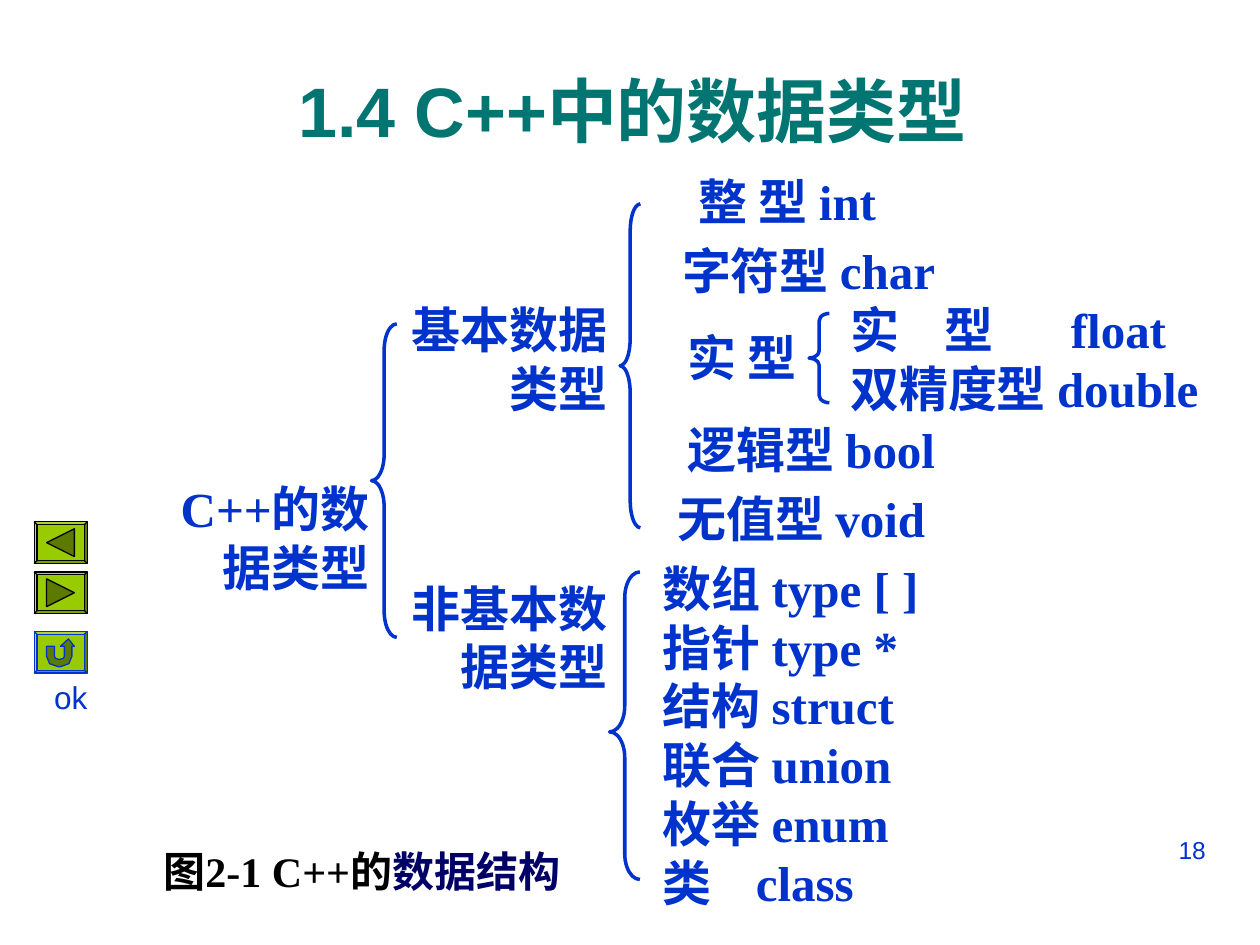
from lxml.etree import SubElement
from pptx import Presentation
from pptx.dml.color import RGBColor
from pptx.enum.shapes import MSO_SHAPE
from pptx.enum.text import MSO_ANCHOR, PP_ALIGN
from pptx.oxml.ns import qn
from pptx.util import Cm, Pt

BLUE = "0033CC"
GREEN = "99CC00"
ICON_GREEN = "5C7A00"
SERIF = "Times New Roman"
SANS = "Arial"
LEFT, CENTER, RIGHT = PP_ALIGN.LEFT, PP_ALIGN.CENTER, PP_ALIGN.RIGHT

LABELS = [
    ((2.9, 9.53, 4.8, 2.57), "C++的数据类型"),
    ((7.9, 5.92, 4.6, 2.64), "基本数据类型"),
    ((7.7, 11.53, 4.8, 2.59), "非基本数据类型"),
    ((13.11, 3.33, 4.8, 1.19), "整 型 int"),
    ((13.11, 4.72, 5.99, 1.17), "字符型 char"),
    ((13.11, 6.48, 3.2, 1.37), "实 型"),
    ((13.11, 8.33, 5.99, 1.4), "逻辑型 bool"),
    ((13.11, 9.73, 5.79, 1.6), "无值型 void"),
]
REAL_TYPES = ["实\t型\tfloat", "双精度型 double"]
DERIVED_TYPES = ["数组 type [ ]", "指针 type *", "结构 struct",
                 "联合 union", "枚举 enum", "类\tclass"]
BRACES = [
    ((12.29, 11.53, 0.61, 6.2), 0.85, 0.52),
    ((12.5, 4.11, 0.41, 6.53), 1.34, 0.5),
    ((7.49, 6.53, 0.51, 6.32), 1.04, 0.5),
    ((16.31, 6.32, 0.41, 1.8), 0.36, 0.5),
]
BACK = [(0.25, 0.42), (0.81, 0.14), (0.81, 0.7)]
FORWARD = [(0.25, 0.14), (0.81, 0.42), (0.25, 0.7)]
RETURN = [(0.25, 0.3), (0.41, 0.3), (0.41, 0.5), (0.43, 0.54), (0.48, 0.56),
          (0.53, 0.56), (0.59, 0.54), (0.61, 0.5), (0.61, 0.3), (0.53, 0.3),
          (0.69, 0.15), (0.81, 0.3), (0.76, 0.3), (0.76, 0.5), (0.7, 0.65),
          (0.53, 0.71), (0.48, 0.71), (0.31, 0.65), (0.25, 0.5)]
BUTTONS = [(10.52, BACK, "000000"), (11.53, FORWARD, "000000"),
           (12.73, RETURN, BLUE)]


def rgb(color):
    return RGBColor.from_string(color)


def format_run(r, size, font, color, bold):
    r.font.size = Pt(size)
    r.font.name = font
    r.font.bold = bold
    r.font.color.rgb = rgb(color)


def add_tabs(p, stops):
    tabs = SubElement(p._p.get_or_add_pPr(), qn("a:tabLst"))
    for stop in stops:
        SubElement(tabs, qn("a:tab"), pos=str(Cm(stop)), algn="l")


def add_text(s, box, lines, size=28, font=SERIF, color=BLUE, bold=True,
             align=LEFT, stops=()):
    tf = s.shapes.add_textbox(*map(Cm, box)).text_frame
    tf.word_wrap = True
    tf.text = "\n".join(lines)
    for p in tf.paragraphs:
        p.alignment = align
        if stops:
            add_tabs(p, stops)
        for r in p.runs:
            format_run(r, size, font, color, bold)
    return tf


def add_caption(s):
    tf = add_text(s, (2.29, 16.92, 10.01, 1.27), ["图2-1 C++的"],
                  size=24, color="000000", align=CENTER)
    r = tf.paragraphs[0].add_run()
    r.text = "数据结构"
    format_run(r, 24, SERIF, "000066", True)


def add_brace(s, box, curve, middle):
    sp = s.shapes.add_shape(MSO_SHAPE.LEFT_BRACE, *map(Cm, box))
    sp.adjustments[0] = curve
    sp.adjustments[1] = middle
    sp.shadow.inherit = False
    sp.fill.background()
    sp.line.color.rgb = rgb(BLUE)
    sp.line.width = Pt(2)


def style_shape(sp, fill, line):
    sp.shadow.inherit = False
    sp.fill.solid()
    sp.fill.fore_color.rgb = rgb(fill)
    sp.line.color.rgb = rgb(line)
    sp.line.width = Pt(0.75)


def add_button(s, top, icon, line):
    left = 0.69
    sp = s.shapes.add_shape(MSO_SHAPE.BEVEL, Cm(left), Cm(top),
                            Cm(1.07), Cm(0.84))
    sp.adjustments[0] = 0.07
    style_shape(sp, GREEN, line)
    points = [(Cm(left + x), Cm(top + y)) for x, y in icon]
    outline = s.shapes.build_freeform(*points[0])
    outline.add_line_segments(points[1:], close=True)
    style_shape(outline.convert_to_shape(), ICON_GREEN, line)


def main():
    prs = Presentation()
    prs.slide_width, prs.slide_height = Cm(25.4), Cm(19.05)
    s = prs.slides.add_slide(prs.slide_layouts[6])

    add_text(s, (18.21, 16.71, 6.35, 1.32), ["18"], size=14, font=SANS,
             bold=False, align=RIGHT)
    title = add_text(s, (0.89, 1.32, 23.72, 1.78), ["1.4 C++中的数据类型"],
                     size=40, font=SANS, color="007572", align=CENTER)
    title.vertical_anchor = MSO_ANCHOR.MIDDLE
    add_caption(s)
    for box, label in LABELS:
        add_text(s, box, [label], align=RIGHT)
    add_text(s, (16.89, 5.92, 8, 2.41), REAL_TYPES, stops=(1.9, 4.45))
    add_text(s, (13.11, 11.13, 6.6, 7.21), DERIVED_TYPES, stops=(1.88,))
    for brace in BRACES:
        add_brace(s, *brace)
    add_text(s, (0.84, 13.54, 1.27, 1.02), ["ok"], size=18, font=SANS,
             bold=False)
    for button in BUTTONS:
        add_button(s, *button)

    prs.save("out.pptx")


if __name__ == "__main__":
    main()
